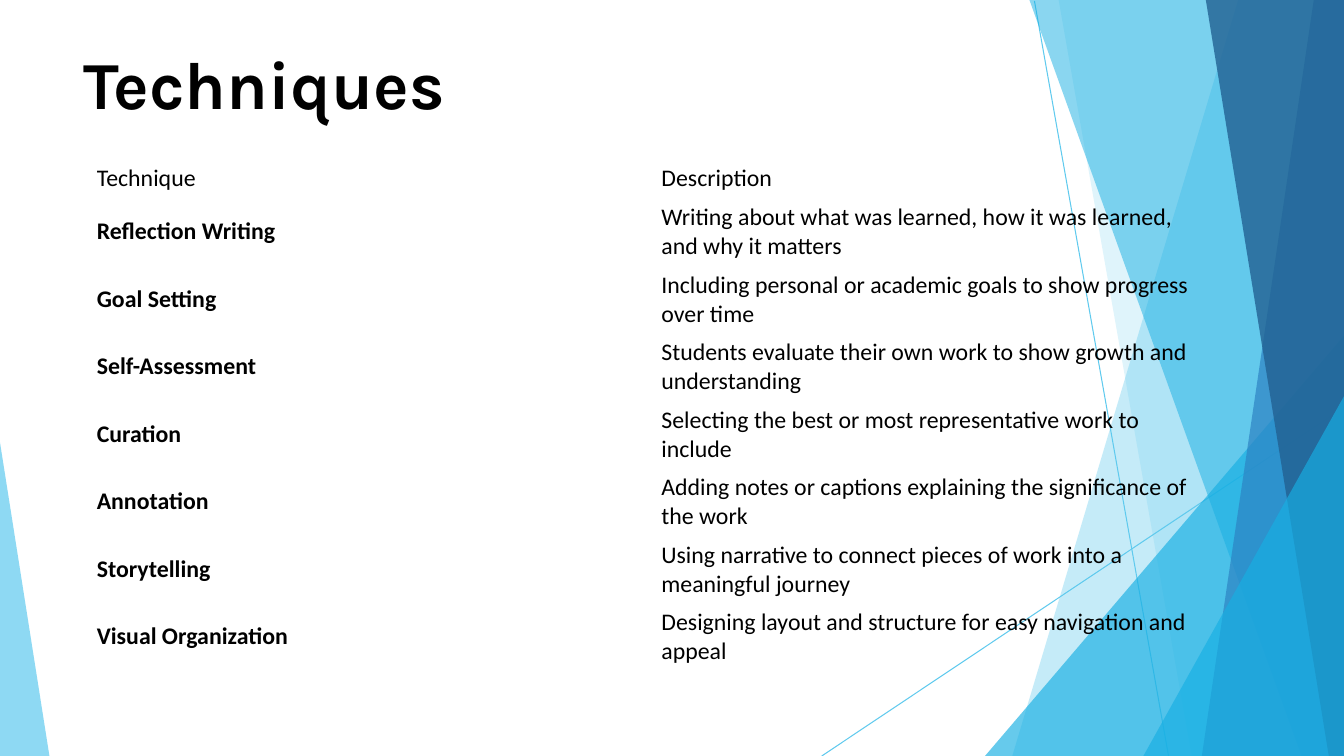
"""Build the Techniques slide: faceted blue backdrop, title and a two-column table."""
from lxml import etree
from pptx import Presentation
from pptx import util as u
from pptx.dml.color import RGBColor
from pptx.enum import shapes, text
from pptx.oxml import ns

WIDTH, HEIGHT = 13.33, 7.5
UNITS_PER_INCH = 100
BLACK = RGBColor(0x00, 0x00, 0x00)
SKY = RGBColor(0x5F, 0xCA, 0xEE)
CYAN = RGBColor(0x17, 0xAF, 0xE3)
BLUE = RGBColor(0x2D, 0x83, 0xC3)
NAVY = RGBColor(0x22, 0x61, 0x92)
PLAIN_TABLE_STYLE = "{2D5ABB26-0587-4C30-8999-92F81FD0307C}"

RAYS = [((10.26, 0.01), (11.59, HEIGHT)), ((WIDTH, 4.04), (8.15, HEIGHT))]


def band(top, bottom):
    return [(WIDTH, 0), (top, 0), (bottom, HEIGHT), (WIDTH, HEIGHT)]


def corner(top, left):
    return [(WIDTH, top), (left, HEIGHT), (WIDTH, HEIGHT)]


FACETS = [
    (band(12.28, 10.04), SKY, 36),
    (band(10.5, 11.82), SKY, 20),
    (corner(3.33, 9.77), CYAN, 66),
    (band(10.21, 12.91), CYAN, 50),
    (band(13.03, 11.92), BLUE, 70),
    (band(11.96, 13.18), NAVY, 80),
    (corner(3.93, 11.34), CYAN, 66),
    ([(0, 4.39), (0, HEIGHT), (0.49, HEIGHT)], SKY, 70),
]

TECHNIQUES = [
    ("Technique", "Description"),
    ("Reflection Writing", "Writing about what was learned, how it was learned, and why it matters"),
    ("Goal Setting", "Including personal or academic goals to show progress over time"),
    ("Self-Assessment", "Students evaluate their own work to show growth and understanding"),
    ("Curation", "Selecting the best or most representative work to include"),
    ("Annotation", "Adding notes or captions explaining the significance of the work"),
    ("Storytelling", "Using narrative to connect pieces of work into a meaningful journey"),
    ("Visual Organization", "Designing layout and structure for easy navigation and appeal"),
]


def write(frame, wording, font="Calibri", size=17, bold=False, color=BLACK):
    para = frame.paragraphs[0]
    para.alignment = text.PP_ALIGN.LEFT
    span = para.add_run()
    span.text = wording
    span.font.name = font
    span.font.size = u.Pt(size)
    span.font.bold = bold
    span.font.color.rgb = color


class SlideBuilder:
    def __init__(self, slide):
        self.slide = slide

    def ray(self, start, end):
        line = self.slide.shapes.add_connector(
            shapes.MSO_CONNECTOR.STRAIGHT, *(u.Inches(value) for value in start + end))
        line.line.color.rgb = SKY
        line.line.width = u.Pt(0.75)
        etree.SubElement(line._element.spPr, ns.qn("a:effectLst"))

    def facet(self, points, color, opacity):
        vertices = [(x * UNITS_PER_INCH, y * UNITS_PER_INCH) for x, y in points]
        outline = self.slide.shapes.build_freeform(
            *vertices[0], scale=u.Inches(1) / UNITS_PER_INCH)
        outline.add_line_segments(vertices[1:], close=True)
        shape = outline.convert_to_shape()
        shape.shadow.inherit = False
        shape.line.fill.background()
        shape.fill.solid()
        shape.fill.fore_color.rgb = color
        tint = shape._element.spPr.find(".//" + ns.qn("a:srgbClr"))
        etree.SubElement(tint, ns.qn("a:alpha"), val=str(opacity * 1000))

    def title(self, wording, left, top, width, height):
        box = self.slide.shapes.title
        box.left, box.top = u.Inches(left), u.Inches(top)
        box.width, box.height = u.Inches(width), u.Inches(height)
        frame = box.text_frame
        frame.margin_left = frame.margin_right = frame.margin_top = frame.margin_bottom = 0
        frame.auto_size = text.MSO_AUTO_SIZE.SHAPE_TO_FIT_TEXT
        frame.vertical_anchor = text.MSO_ANCHOR.TOP
        write(frame, wording, font="Karla", size=48, bold=True)
        self.slide.shapes._spTree.append(box._element)

    def table(self, records, left, top, width, head_height, row_height):
        height = head_height + row_height * (len(records) - 1)
        table = self.slide.shapes.add_table(
            len(records), len(records[0]), u.Inches(left), u.Inches(top),
            u.Inches(width), u.Inches(height)).table
        table.first_row = table.horz_banding = False
        table._tbl.tblPr.find(ns.qn("a:tableStyleId")).text = PLAIN_TABLE_STYLE
        for row, record in enumerate(records):
            table.rows[row].height = u.Inches(row_height if row else head_height)
            for column, wording in enumerate(record):
                cell = table.cell(row, column)
                cell.fill.background()
                cell.vertical_anchor = text.MSO_ANCHOR.MIDDLE
                write(cell.text_frame, wording, bold=row > 0 and column == 0)


def main():
    deck = Presentation()
    deck.slide_width, deck.slide_height = u.Inches(WIDTH), u.Inches(HEIGHT)
    page = SlideBuilder(deck.slides.add_slide(deck.slide_layouts.get_by_name("Title Only")))
    for start, end in RAYS:
        page.ray(start, end)
    for points, color, opacity in FACETS:
        page.facet(points, color, opacity)
    page.title("Techniques", 0.83, 0.42, 11.68, 0.83)
    page.table(TECHNIQUES, 0.86, 1.58, 11.2, 0.38, 0.67)
    deck.save("out.pptx")


if __name__ == "__main__":
    main()
